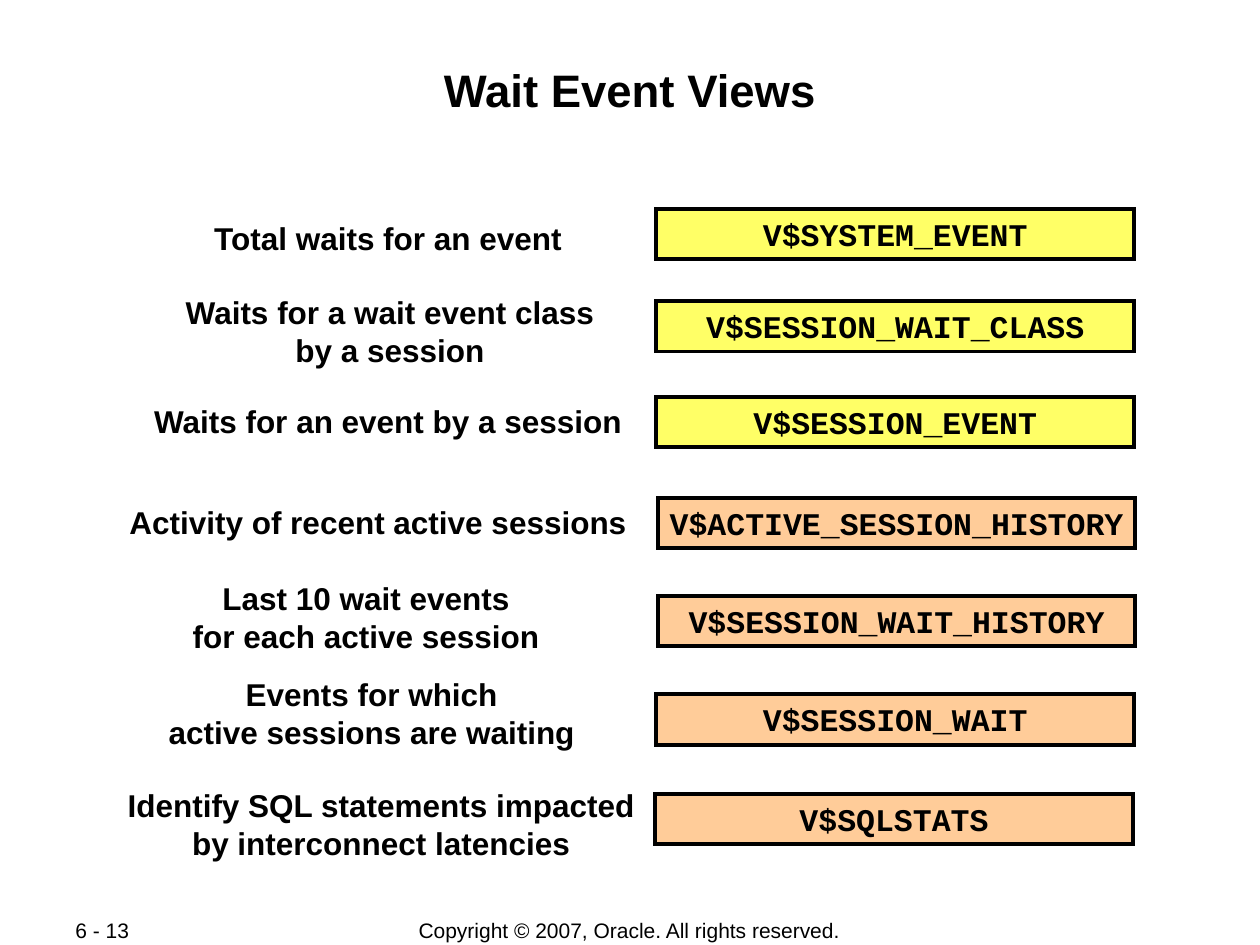
from lxml.etree import SubElement
from pptx import Presentation
from pptx.dml.color import RGBColor
from pptx.enum.shapes import MSO_SHAPE as Shape
from pptx.enum.text import MSO_ANCHOR as Anchor, MSO_AUTO_SIZE as AutoSize, PP_ALIGN as Align
from pptx.oxml.ns import qn
from pptx.util import Inches, Pt

COLORS = {"ink": "000000", "totals": "FFFF66", "active": "FFCC99"}

deck = Presentation()
deck.slide_width, deck.slide_height = Inches(10), Inches(7.5)
slide = deck.slides.add_slide(deck.slide_layouts[5])

# Grid of 100 columns by 75 rows
COL, ROW = deck.slide_width / 100, deck.slide_height / 75


def grid(left, top, width, height):
    return [round(n * unit) for n, unit in zip((left, top, width, height), (COL, ROW) * 2)]


def write(shape, text, size, font="Arial", bold=True, align=Align.CENTER,
          anchor=Anchor.TOP, wrap=False, inset=(0.1, 0.05)):
    frame = shape.text_frame
    frame.word_wrap, frame.vertical_anchor = wrap, anchor
    frame.margin_left = frame.margin_right = Inches(inset[0])
    frame.margin_top = frame.margin_bottom = Inches(inset[1])
    paragraph = frame.paragraphs[0]
    paragraph.text = text
    paragraph.alignment = align
    for run in paragraph.runs:
        run.font.name, run.font.size, run.font.bold = font, Pt(size), bold
        run.font.color.rgb = RGBColor.from_string(COLORS["ink"])


# Title
title = slide.shapes.title
title.left, title.top, title.width, title.height = grid(6.7, 4.8, 86.6, 9.6)
title.text_frame.auto_size = AutoSize.NONE
write(title, "Wait Event Views", 26, wrap=True, inset=(0.01, 0.01))

# Footer
for text, area, align in [
    ("Copyright © 2007, Oracle. All rights reserved.", (27.5, 72.8, 44.9, 2.1), Align.CENTER),
    ("6 - 13", (5, 72.8, 10.6, 2), Align.JUSTIFY),
]:
    footer = slide.shapes.add_textbox(*grid(*area))
    write(footer, text, 12, bold=False, align=align, anchor=Anchor.MIDDLE)

# Each row: description, its left, top and width; view, its left and top; group
WAIT_VIEWS = [
    ("Total waits for an event", 15.7, 16.9, 30.2,
     "V$SYSTEM_EVENT", 52.1, 16.6, "totals"),
    ("Waits for a wait event class\vby a session", 13.5, 22.8, 34.9,
     "V$SESSION_WAIT_CLASS", 52.1, 23.9, "totals"),
    ("Waits for an event by a session", 11, 31.4, 39.6,
     "V$SESSION_EVENT", 52.1, 31.5, "totals"),
    ("Activity of recent active sessions", 9.1, 39.4, 41.8,
     "V$ACTIVE_SESSION_HISTORY", 52.2, 39.5, "active"),
    ("Last 10 wait events\vfor each active session", 14.1, 45.5, 29.9,
     "V$SESSION_WAIT_HISTORY", 52.2, 47.3, "active"),
    ("Events for which\vactive sessions are waiting", 12.2, 53.1, 34.6,
     "V$SESSION_WAIT", 52.1, 55.1, "active"),
    ("Identify SQL statements impacted\vby interconnect latencies", 8.9, 61.9, 42.7,
     "V$SQLSTATS", 52, 63, "active"),
]
VIEW_WIDTH, LINE_HEIGHT = 37.9, 3

for description, left, top, width, view, view_left, view_top, group in WAIT_VIEWS:
    # Description on the left
    height = 1 + LINE_HEIGHT * (1 + description.count("\v"))
    label = slide.shapes.add_textbox(*grid(left, top, width, height))
    write(label, description, 18)
    label.text_frame.auto_size = AutoSize.SHAPE_TO_FIT_TEXT

    # View name on the right, in a box with sharp corners
    box = slide.shapes.add_shape(
        Shape.RECTANGLE, *grid(view_left, view_top, VIEW_WIDTH, 1 + LINE_HEIGHT))
    box.shadow.inherit = False
    box.fill.solid()
    box.fill.fore_color.rgb = RGBColor.from_string(COLORS[group])
    box.line.color.rgb = RGBColor.from_string(COLORS["ink"])
    box.line.width = Pt(2.25)
    SubElement(box.element.spPr.find(qn("a:ln")), qn("a:miter"), lim="800000")
    write(box, view, 18, font="Courier New", wrap=True, inset=(0.05, 0.05))

deck.save("out.pptx")
